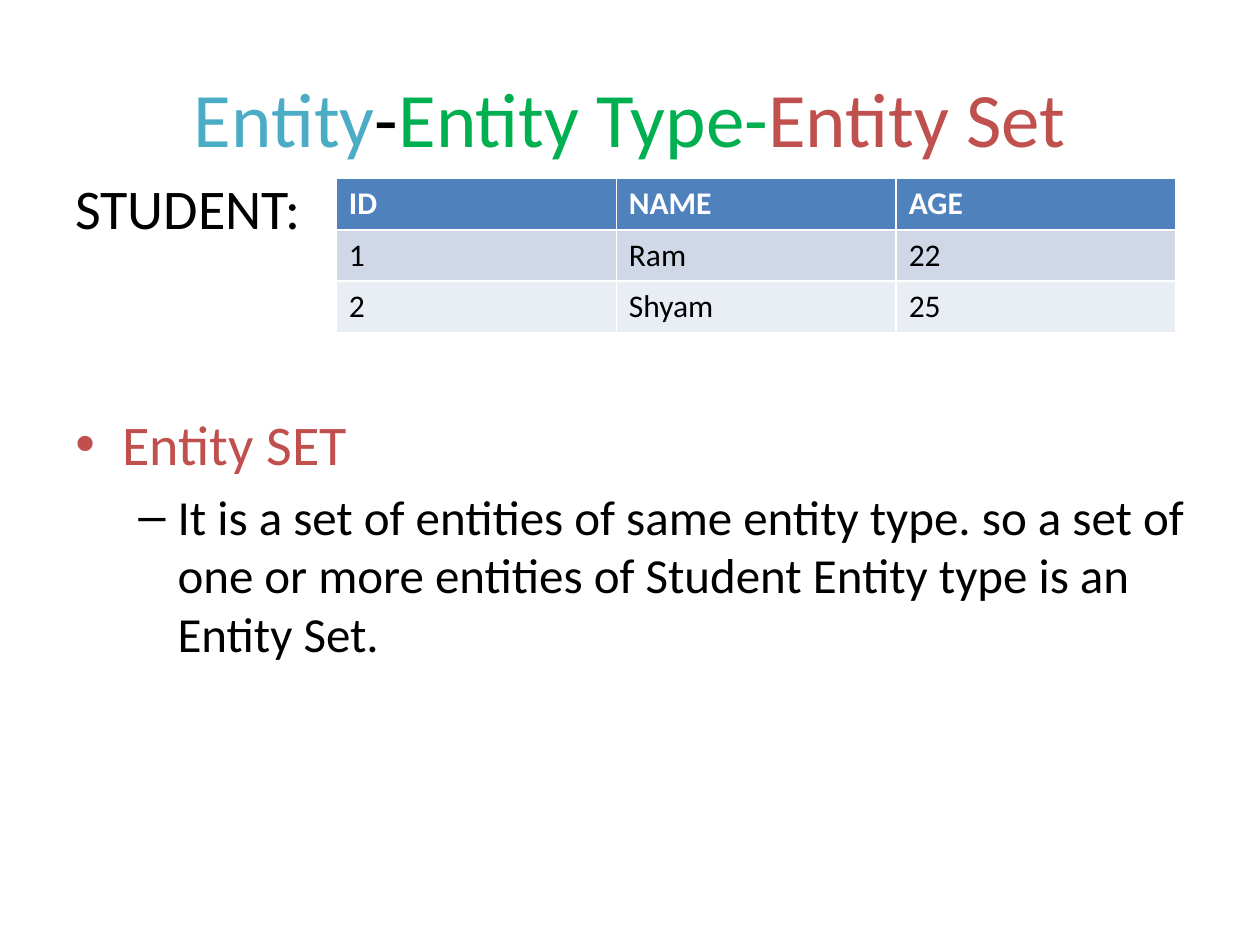
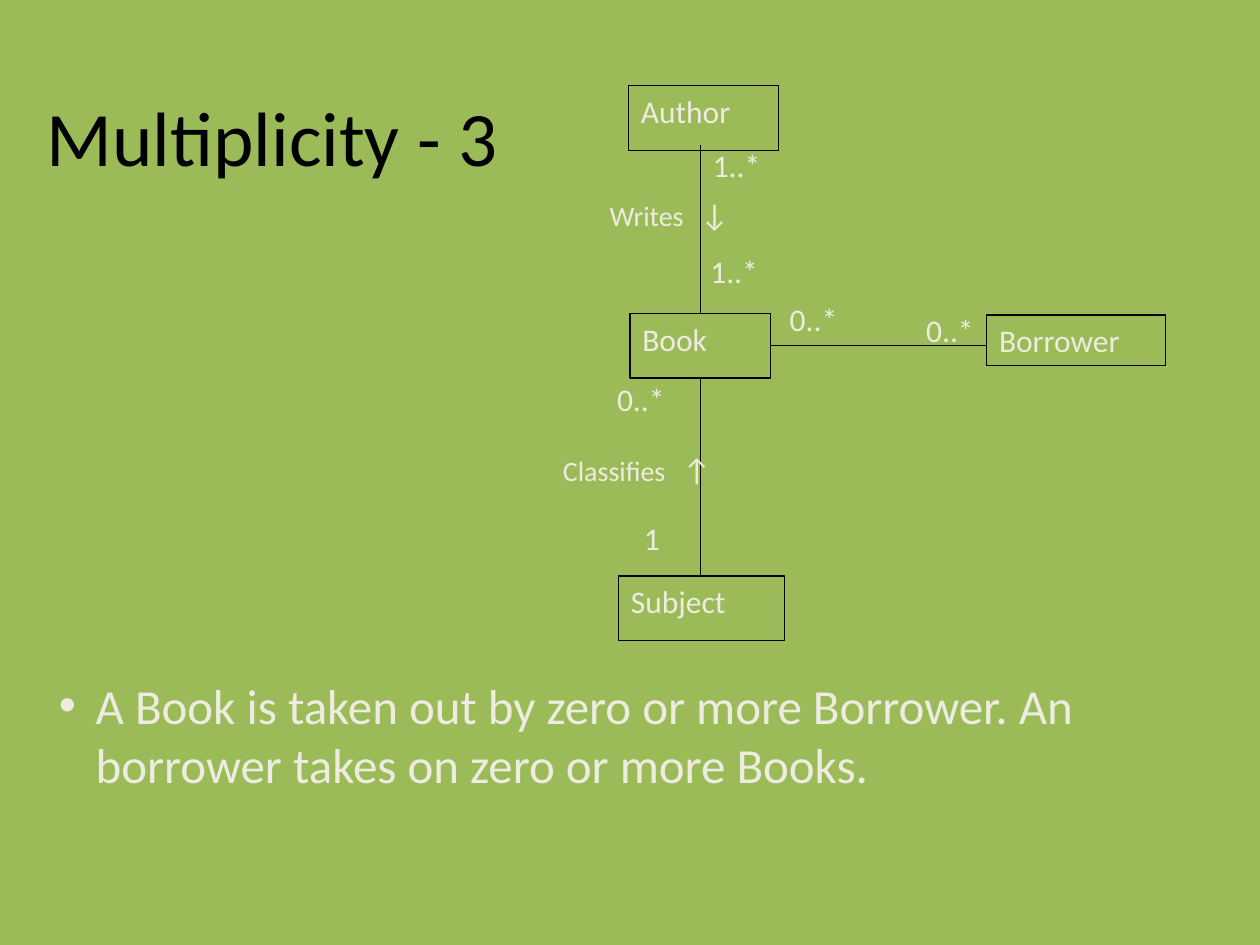
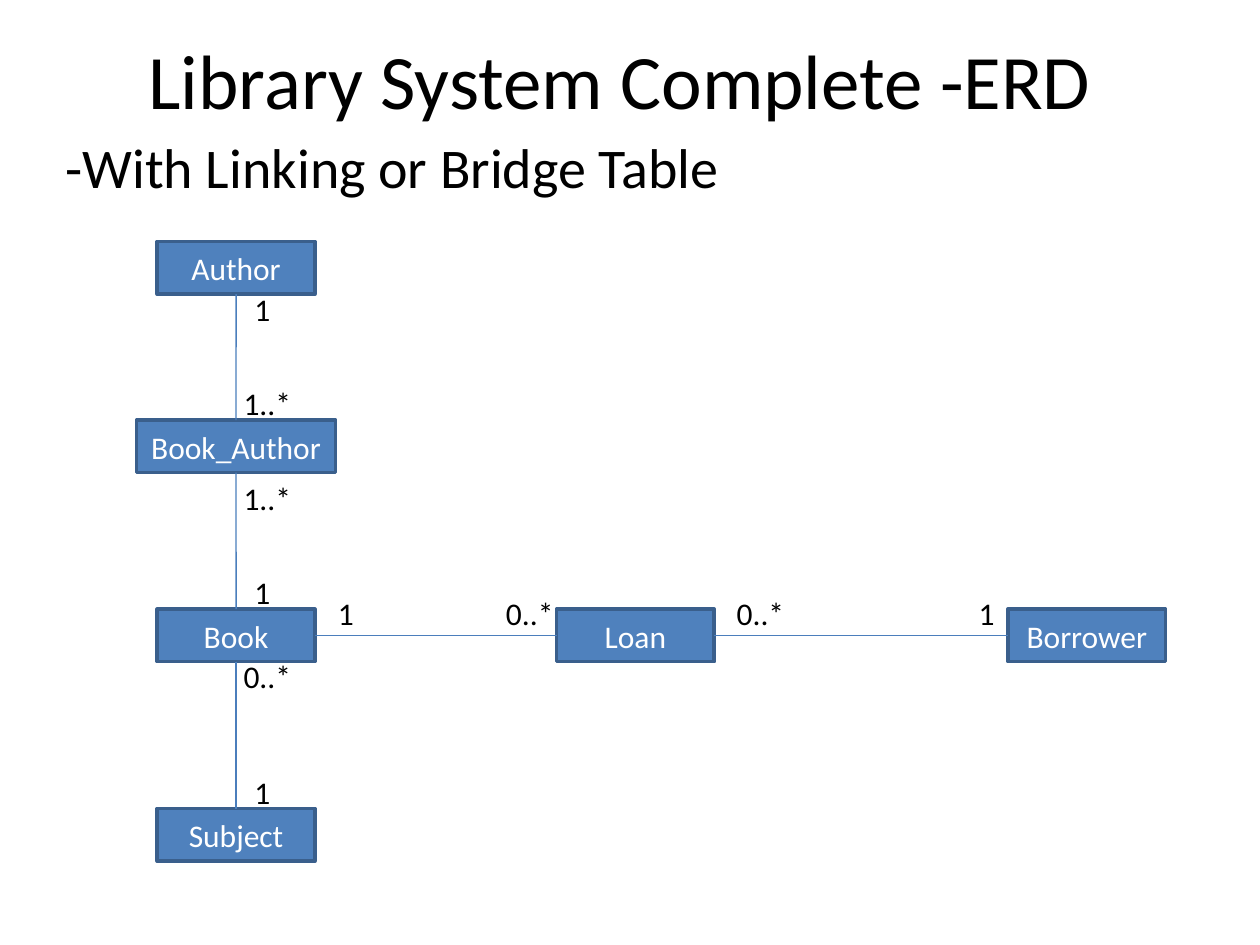
import pptx
import pptx.dml.color
import pptx.enum.shapes
import pptx.enum.text
import pptx.oxml.ns
import pptx.util
from lxml import etree

Cm = pptx.util.Cm
Pt = pptx.util.Pt
PP_ALIGN = pptx.enum.text.PP_ALIGN
ANCHOR = pptx.enum.text.MSO_ANCHOR

FONT = "Calibri"
BLACK, WHITE, CREAM = "000000", "FFFFFF", "EEECE1"
BLUE, NAVY, LINE_BLUE = "4F81BD", "3A5F8C", "4B7EBC"
AQUA, GREEN, RED, OLIVE = "4BACC6", "00B050", "C0504D", "9BBB59"
BAND_DARK, BAND_LIGHT = "D0D8E8", "E9EDF4"
TOP, LEFT, BOTTOM, RIGHT = range(4)


def rgb(color):
    return pptx.dml.color.RGBColor.from_string(color)


def sub(parent, tag, **attrs):
    return etree.SubElement(parent, pptx.oxml.ns.qn(tag), attrs)


def set_font(font, size, color, bold=False):
    font.name = FONT
    font.size = Pt(size)
    font.bold = bold
    font.color.rgb = rgb(color)


def add_slide(prs, background):
    s = prs.slides.add_slide(prs.slide_layouts[6])
    s.background.fill.solid()
    s.background.fill.fore_color.rgb = rgb(background)
    return s


def add_text(s, x, y, w, h):
    tf = s.shapes.add_textbox(Cm(x), Cm(y), Cm(w), Cm(h)).text_frame
    tf.word_wrap = True
    return tf


def add_title(s, x, y, w, runs, align=PP_ALIGN.CENTER):
    tf = add_text(s, x, y, w, 3.18)
    tf.vertical_anchor = ANCHOR.MIDDLE
    p = tf.paragraphs[0]
    p.alignment = align
    set_font(p.font, 44, BLACK)
    for text, color in runs:
        r = p.add_run()
        r.text = text
        r.font.color.rgb = rgb(color)


def write(p, text, size, color, before=0):
    p.text = text
    p.space_before = Pt(before)
    set_font(p.font, size, color)


def add_bullet(p, char, margin, hanging, color):
    pPr = p._p.get_or_add_pPr()
    pPr.set("marL", str(Cm(margin)))
    pPr.set("indent", str(-Cm(hanging)))
    sub(sub(pPr, "a:buClr"), "a:srgbClr", val=color)
    sub(pPr, "a:buFont", typeface="Arial")
    sub(pPr, "a:buChar", char=char)


def add_label(s, text, x, y, color):
    tf = add_text(s, x, y, 1.9, 1.02)
    write(tf.paragraphs[0], text, 18, color)


def add_role(s, name, arrow, x, y, w, tab):
    p = add_text(s, x, y, w, 1.3).paragraphs[0]
    tabs = sub(p._p.get_or_add_pPr(), "a:tabLst")
    sub(tabs, "a:tab", pos=str(Cm(tab)), algn="l")
    write(p, name + "\t", 16, CREAM)
    r = p.add_run()
    r.text = arrow
    r.font.size = Pt(18)


def add_entity(s, name, x, y, w, h, fill=None):
    sp = s.shapes.add_shape(pptx.enum.shapes.MSO_SHAPE.RECTANGLE, Cm(x), Cm(y), Cm(w), Cm(h))
    sp.shadow.inherit = False
    if fill:
        sp.fill.solid()
        sp.fill.fore_color.rgb = rgb(fill)
    else:
        sp.fill.background()
    sp.line.color.rgb = rgb(NAVY if fill else BLACK)
    sp.line.width = Pt(2 if fill else 0.75)
    tf = sp.text_frame
    tf.word_wrap = True
    tf.vertical_anchor = ANCHOR.MIDDLE if fill else ANCHOR.TOP
    p = tf.paragraphs[0]
    p.alignment = PP_ALIGN.CENTER if fill else PP_ALIGN.LEFT
    write(p, name, 18, WHITE if fill else CREAM)
    return sp


def add_line(s, color, start=(0, 0), end=(0, 0)):
    points = [Cm(v) for v in (*start, *end)]
    line = s.shapes.add_connector(pptx.enum.shapes.MSO_CONNECTOR.STRAIGHT, *points)
    line.line.color.rgb = rgb(color)
    line.line.width = Pt(0.75)
    sub(line._element.spPr, "a:effectLst")
    return line


def join(s, first, first_side, second, second_side):
    line = add_line(s, LINE_BLUE)
    line.begin_connect(first, first_side)
    line.end_connect(second, second_side)


def add_student_table(s, rows):
    frame = s.shapes.add_table(len(rows), len(rows[0]), Cm(6.78), Cm(3.6), Cm(16.93), Cm(3.1))
    fills = (BLUE, BAND_DARK, BAND_LIGHT)
    for i, row in enumerate(rows):
        for j, text in enumerate(row):
            cell = frame.table.cell(i, j)
            cell.fill.solid()
            cell.fill.fore_color.rgb = rgb(fills[i])
            p = cell.text_frame.paragraphs[0]
            p.text = text
            set_font(p.font, 18, BLACK if i else WHITE, bold=i == 0)


def entity_set_slide(prs):
    s = add_slide(prs, WHITE)
    add_title(s, 1.27, 0.76, 22.86, [("Entity", AQUA), ("-", BLACK),
                                     ("Entity Type-", GREEN), ("Entity Set", RED)])
    tf = add_text(s, 1.27, 3.38, 22.9, 14.81)
    write(tf.paragraphs[0], "STUDENT:", 32, BLACK)
    p = tf.add_paragraph()
    add_bullet(p, "•", 0.95, 0.95, RED)
    write(p, "Entity SET", 32, RED, before=96)
    p = tf.add_paragraph()
    add_bullet(p, "–", 2.06, 0.79, BLACK)
    write(p, "It is a set of entities of same entity type. so a set of one or more "
             "entities of Student Entity type is an Entity Set.", 28, BLACK, before=5.6)
    add_student_table(s, [("ID", "NAME", "AGE"), ("1", "Ram", "22"), ("2", "Shyam", "25")])


def multiplicity_slide(prs):
    s = add_slide(prs, OLIVE)
    add_title(s, 0.69, 1.14, 24.4, [("Multiplicity - 3", BLACK)], PP_ALIGN.LEFT)
    p = add_text(s, 0.69, 13.49, 23.8, 2.64).paragraphs[0]
    add_bullet(p, "•", 0.99, 0.74, CREAM)
    write(p, "A Book is taken out by zero or more Borrower. An borrower takes on "
             "zero or more Books.", 28, CREAM)

    add_entity(s, "Author", 12.67, 1.73, 3.02, 1.3)
    book = add_entity(s, "Book", 12.7, 6.32, 2.84, 1.3)
    add_entity(s, "Subject", 12.47, 11.61, 3.35, 1.3)
    add_entity(s, "Borrower", 19.89, 6.35, 3.61, 1.02)
    for side, end in ((TOP, (14.12, 2.92)), (BOTTOM, (14.12, 11.61)), (RIGHT, (19.89, 6.97))):
        add_line(s, BLACK, end=end).begin_connect(book, side)

    add_role(s, "Writes", "↓", 12.04, 3.81, 3.45, 1.83)
    add_role(s, "Classifies", "↑", 11.1, 8.94, 5.21, 2.41)
    for text, x, y in (("1..*", 14.12, 2.82), ("1..*", 14.07, 4.95), ("0..*", 12.19, 7.54),
                       ("1", 12.73, 10.34), ("0..*", 15.67, 5.92), ("0..*", 18.42, 6.15)):
        add_label(s, text, x, y, CREAM)


def library_slide(prs):
    s = add_slide(prs, WHITE)
    add_title(s, 1.07, 0, 22.86, [("Library System Complete -ERD", BLACK)])
    tf = add_text(s, 1.07, 2.54, 22.86, 14.81)
    write(tf.paragraphs[0], "-With Linking or Bridge Table", 32, BLACK)

    centre, height, book_y = 4.76, 1.06, 12.28
    column = [add_entity(s, name, centre - w / 2, y, w, height, BLUE)
              for name, y, w in (("Author", 4.87, 3.18), ("Book_Author", 8.47, 4.02),
                                 ("Book", book_y, 3.18), ("Subject", 16.3, 3.18))]
    row = [column[2]] + [add_entity(s, name, x, book_y, 3.18, height, BLUE)
                         for name, x in (("Loan", 11.22), ("Borrower", 20.32))]
    for upper, lower in zip(column, column[1:]):
        join(s, upper, BOTTOM, lower, TOP)
    for left, right in zip(row, row[1:]):
        join(s, left, RIGHT, right, LEFT)

    for text, y in (("1", 5.72), ("1..*", 7.62), ("1..*", 9.53),
                    ("1", 11.43), ("0..*", 13.12), ("1", 15.45)):
        add_label(s, text, 4.88 if text == "1" else 4.66, y, BLACK)
    for text, x in (("1", 6.56), ("0..*", 9.95), ("0..*", 14.6), ("1", 19.48)):
        add_label(s, text, x, 11.86, BLACK)


def main():
    prs = pptx.Presentation()
    prs.slide_width, prs.slide_height = Cm(25.4), Cm(19.05)
    entity_set_slide(prs)
    multiplicity_slide(prs)
    library_slide(prs)
    prs.save("out.pptx")


if __name__ == "__main__":
    main()
